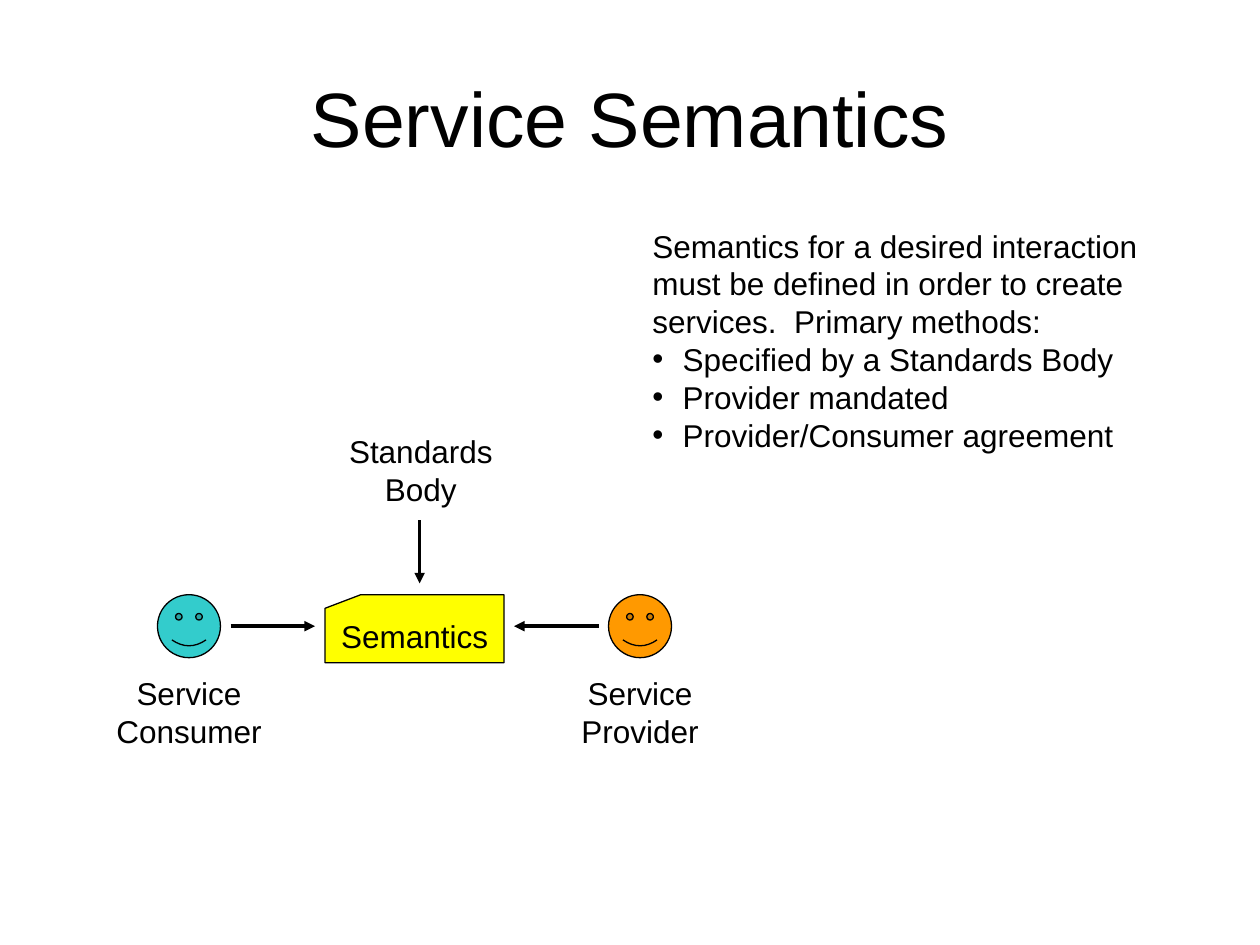
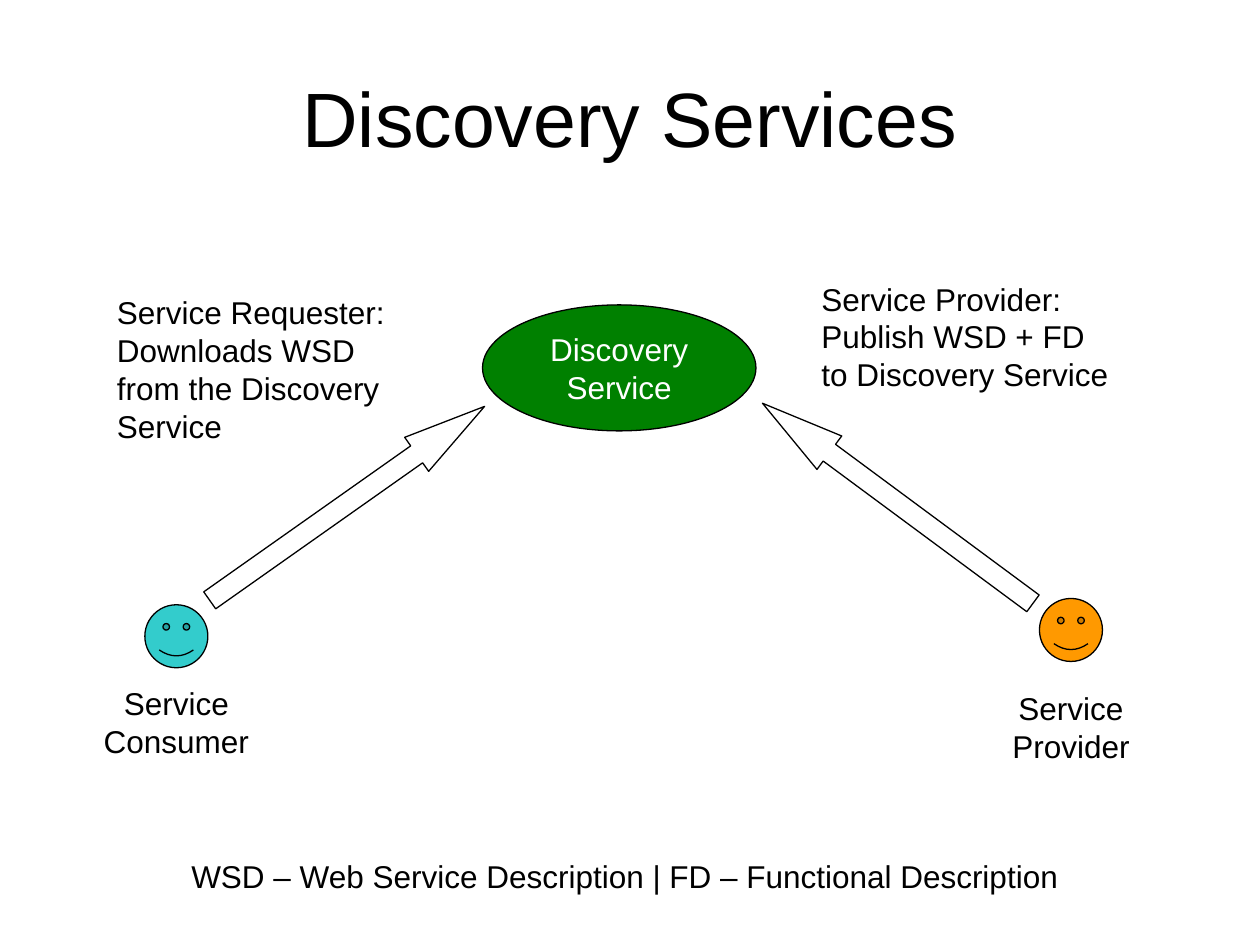
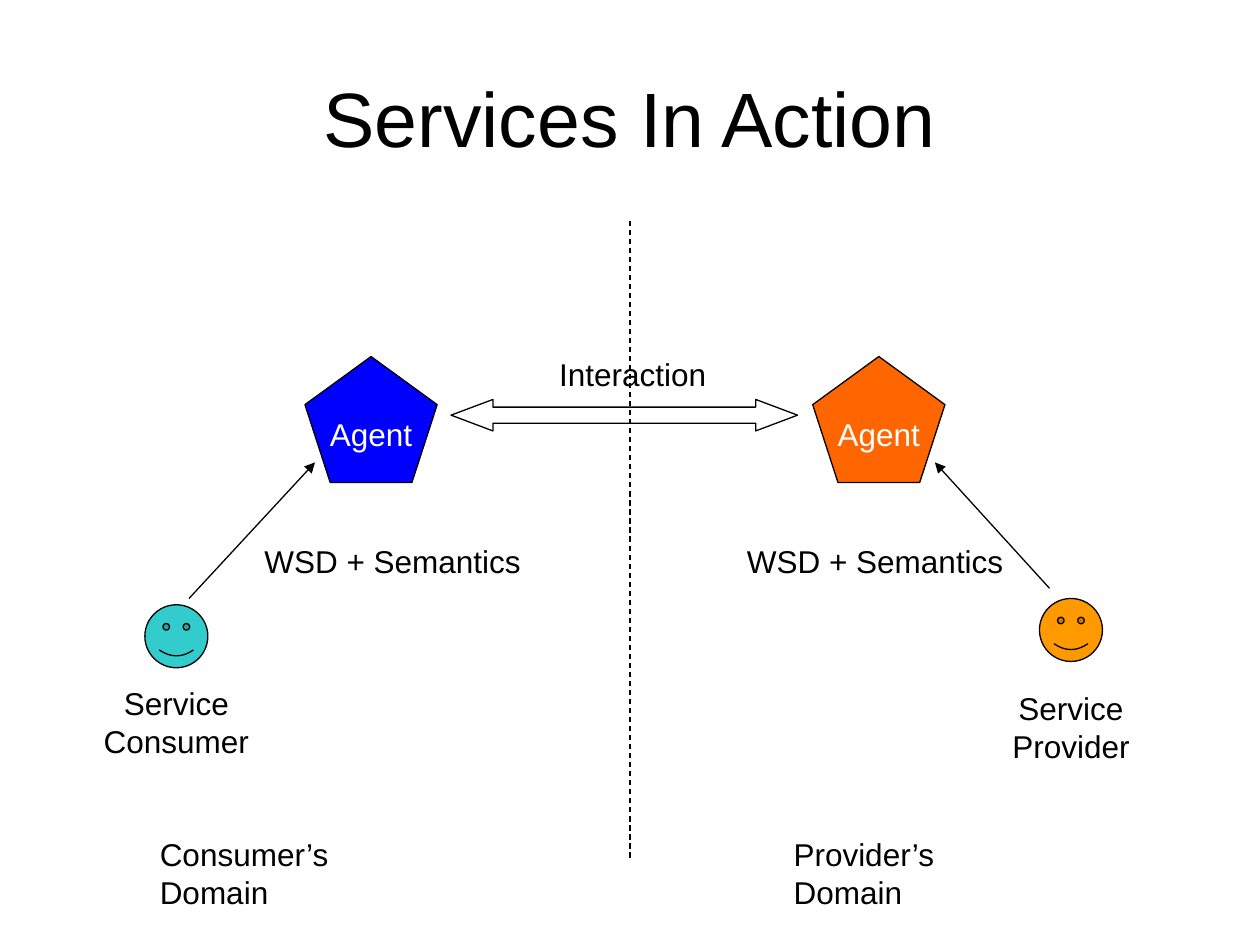
from lxml.etree import SubElement
from pptx import Presentation
from pptx.dml.color import RGBColor
from pptx.enum.dml import MSO_LINE
from pptx.enum.shapes import MSO_CONNECTOR, MSO_SHAPE
from pptx.enum.text import MSO_ANCHOR, MSO_AUTO_SIZE, PP_ALIGN
from pptx.oxml.ns import qn
from pptx.util import Inches, Pt

BLACK = RGBColor(0x00, 0x00, 0x00)
WHITE = RGBColor(0xFF, 0xFF, 0xFF)
TEAL = RGBColor(0x33, 0xCC, 0xCC)
AMBER = RGBColor(0xFF, 0x99, 0x00)
YELLOW = RGBColor(0xFF, 0xFF, 0x00)
GREEN = RGBColor(0x00, 0x80, 0x00)
BLUE = RGBColor(0x00, 0x00, 0xFF)
ORANGE = RGBColor(0xFF, 0x66, 0x00)

FONT = "Arial"
TITLE_SIZE = 44
BODY_SIZE = 18
THIN = 0.75
THICK = 2
FACE = 0.5
TITLE_ONLY = 5

# role: (face colour, caption width)
ROLES = {"Consumer": (TEAL, 1.35), "Provider": (AMBER, 1.13)}


def inches(box):
    return [Inches(v) for v in box]


def write(tf, lines, align=PP_ALIGN.LEFT, color=BLACK, size=BODY_SIZE, wrap=False):
    tf.word_wrap = wrap
    for i, line in enumerate(lines):
        p = tf.paragraphs[0] if i == 0 else tf.add_paragraph()
        p.text = line
        p.alignment = align
        for r in p.runs:
            r.font.name = FONT
            r.font.size = Pt(size)
            r.font.color.rgb = color


def add_titled_slide(prs, title):
    s = prs.slides.add_slide(prs.slide_layouts[TITLE_ONLY])
    sp = s.shapes.title
    sp.left, sp.top, sp.width, sp.height = inches((0.5, 0.3, 9, 1.25))
    tf = sp.text_frame
    tf.auto_size = MSO_AUTO_SIZE.NONE
    tf.vertical_anchor = MSO_ANCHOR.MIDDLE
    write(tf, [title], PP_ALIGN.CENTER, size=TITLE_SIZE, wrap=True)
    return s


def add_text(s, box, lines, align=PP_ALIGN.LEFT, wrap=True):
    tf = s.shapes.add_textbox(*inches(box)).text_frame
    write(tf, lines, align, wrap=wrap)
    return tf


def add_caption(s, box, lines):
    add_text(s, box, lines, PP_ALIGN.CENTER, wrap=False)


def add_shape(s, kind, box, fill=None, lines=(), color=BLACK, adjust=(), rotation=0):
    sp = s.shapes.add_shape(kind, *inches(box))
    sp.shadow.inherit = False
    sp.rotation = rotation
    for i, value in enumerate(adjust):
        sp.adjustments[i] = value
    if fill is None:
        sp.fill.background()
    else:
        sp.fill.solid()
        sp.fill.fore_color.rgb = fill
    sp.line.color.rgb = BLACK
    sp.line.width = Pt(THIN)
    sp.text_frame.vertical_anchor = MSO_ANCHOR.MIDDLE
    write(sp.text_frame, lines, PP_ALIGN.CENTER, color)


def add_line(s, start, end, width=THIN, arrow=True):
    line = s.shapes.add_connector(MSO_CONNECTOR.STRAIGHT, *inches(start + end))
    line.line.color.rgb = BLACK
    line.line.width = Pt(width)
    if arrow:
        SubElement(line.line._get_or_add_ln(), qn("a:tailEnd"), type="triangle")
    else:
        line.line.dash_style = MSO_LINE.DASH
    SubElement(line._element.spPr, qn("a:effectLst"))


def add_bullet(p, indent=0.24):
    pPr = p._p.get_or_add_pPr()
    pPr.set("marL", str(Inches(indent)))
    pPr.set("indent", str(-Inches(indent)))
    SubElement(pPr, qn("a:buFont"), typeface=FONT)
    SubElement(pPr, qn("a:buChar"), char="•")


def add_person(s, x, y, role, caption_drop=0.58):
    """Draw a face at x, y with the role captioned and centred below it."""
    color, width = ROLES[role]
    add_shape(s, MSO_SHAPE.SMILEY_FACE, (x, y, FACE, FACE), color, adjust=[0.093])
    add_caption(s, (x + (FACE - width) / 2, y + caption_drop, width, 0.7), ["Service", role])


def add_outer_people(s):
    add_person(s, 1.15, 4.8, "Consumer")
    add_person(s, 8.25, 4.75, "Provider", caption_drop=0.67)


def add_semantics_diagram(s, x, y):
    """Place the consumer, the semantics card and the provider in a row from x, y."""
    middle = y + FACE / 2
    add_person(s, x, y, "Consumer")
    add_person(s, x + 3.58, y, "Provider")
    add_shape(s, MSO_SHAPE.FLOWCHART_CARD, (x + 1.33, y, 1.42, 0.54), YELLOW, ["Semantics"])
    add_caption(s, (x + 1.42, y - 1.34, 1.34, 0.7), ["Standards", "Body"])
    add_line(s, (x + 2.08, y - 0.59), (x + 2.08, y - 0.09), THICK)
    add_line(s, (x + 3.5, middle), (x + 2.83, middle), THICK)
    add_line(s, (x + 0.58, middle), (x + 1.25, middle), THICK)


def build_semantics(prs):
    s = add_titled_slide(prs, "Service Semantics")
    add_semantics_diagram(s, 1.25, 4.72)
    tf = add_text(s, (5.08, 1.75, 4.17, 1.9), [
        "Semantics for a desired interaction must be defined in order to create "
        "services.  Primary methods:",
        "Specified by a Standards Body",
        "Provider mandated",
        "Provider/Consumer agreement",
    ])
    for p in tf.paragraphs[1:]:
        add_bullet(p)


def build_discovery(prs):
    s = add_titled_slide(prs, "Discovery Services")
    add_outer_people(s)
    add_shape(s, MSO_SHAPE.OVAL, (3.83, 2.42, 2.17, 1), GREEN, ["Discovery", "Service"], WHITE)
    for x, rotation in ((5.79, 36.5), (1.42, 144.8)):
        add_shape(s, MSO_SHAPE.LEFT_ARROW, (x, 3.83, 2.67, 0.33),
                  adjust=[0.5, 2], rotation=rotation)
    add_text(s, (6.42, 2.17, 2.92, 1),
             ["Service Provider:", "Publish WSD + FD", "to Discovery Service"])
    add_text(s, (0.83, 2.28, 2.5, 1.3),
             ["Service Requester: Downloads WSD from the Discovery Service"])
    add_text(s, (1.42, 6.75, 7.2, 0.4),
             ["WSD – Web Service Description | FD – Functional Description"])


def add_domain(s, agent_x, color, label_x, name_box, name):
    """Draw one side: its agent, what the agent receives and the domain name."""
    add_shape(s, MSO_SHAPE.REGULAR_PENTAGON, (agent_x, 2.83, 1.05, 1), color, ["Agent"], WHITE)
    add_text(s, (label_x, 4.25, 2.35, 0.4), ["WSD + Semantics"])
    add_text(s, name_box, [f"{name}’s\vDomain"])


def build_action(prs):
    s = add_titled_slide(prs, "Services In Action")
    add_outer_people(s)
    add_line(s, (5, 1.75), (5, 6.83), arrow=False)
    add_domain(s, 2.42, BLUE, 2, (1.17, 6.58, 2.46, 0.7), "Consumer")
    add_domain(s, 6.45, ORANGE, 5.83, (6.2, 6.58, 2.24, 0.7), "Provider")
    add_shape(s, MSO_SHAPE.LEFT_RIGHT_ARROW, (3.58, 3.17, 2.75, 0.25), adjust=[0.51, 1.33])
    add_line(s, (1.5, 4.75), (2.5, 3.67))
    add_line(s, (8.33, 4.67), (7.42, 3.67))
    add_text(s, (4.34, 2.77, 1.5, 0.4), ["Interaction"])


def main():
    prs = Presentation()
    prs.slide_width, prs.slide_height = Inches(10), Inches(7.5)
    for build in (build_semantics, build_discovery, build_action):
        build(prs)
    prs.save("out.pptx")


if __name__ == "__main__":
    main()
